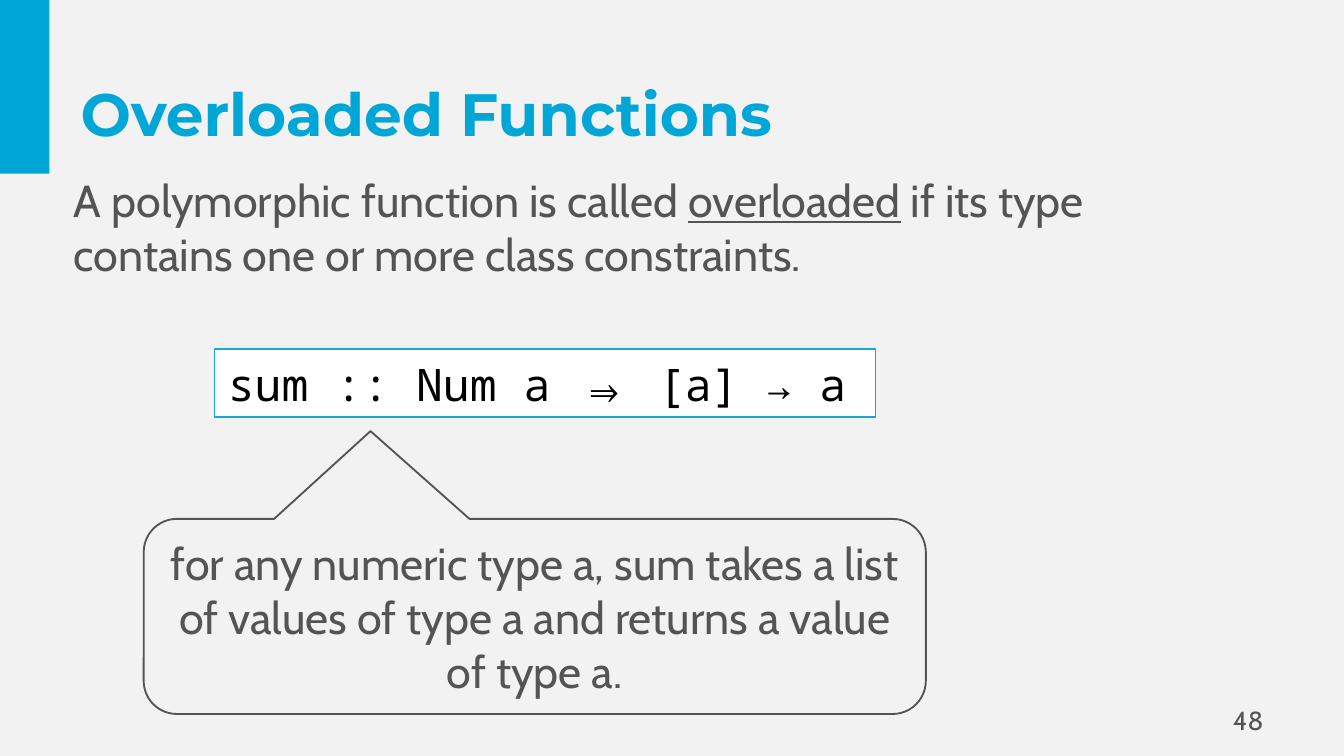
"""Build a slide that explains overloaded functions."""
from pptx import Presentation
from pptx.dml.color import RGBColor
from pptx.enum.shapes import MSO_SHAPE
from pptx.enum.text import MSO_ANCHOR, PP_ALIGN
from pptx.util import Pt

RECTANGLE = MSO_SHAPE.RECTANGLE
CALLOUT = MSO_SHAPE.ROUNDED_RECTANGULAR_CALLOUT
MIDDLE = MSO_ANCHOR.MIDDLE
LEFT, CENTER, RIGHT = PP_ALIGN.LEFT, PP_ALIGN.CENTER, PP_ALIGN.RIGHT

COLORS = {
    "background": "F2F2F2",
    "accent": "00A6D6",
    "border": "15A8DB",
    "text": "545454",
    "code": "000000",
    "white": "FFFFFF",
}


def color(name):
    return RGBColor.from_string(COLORS[name])


class SlideBuilder:
    body_font = "Cabin"
    title_font = "Montserrat"
    code_font = "Noto Sans Mono"
    body_size = 24

    def __init__(self, presentation):
        self.slide = presentation.slides.add_slide(presentation.slide_layouts[5])
        fill = self.slide.background.fill
        fill.solid()
        fill.fore_color.rgb = color("background")

    def set_text(self, shape, runs, font=body_font, size=body_size,
                 ink="text", align=LEFT, bold=False):
        frame = shape.text_frame
        frame.word_wrap = True
        frame.vertical_anchor = MIDDLE
        paragraph = frame.paragraphs[0]
        paragraph.alignment = align
        paragraph.font.name = font
        paragraph.font.size = Pt(size)
        paragraph.font.bold = bold
        paragraph.font.color.rgb = color(ink)
        for text, underlined in runs:
            run = paragraph.add_run()
            run.text = text
            if underlined:
                run.font.underline = True

    def title(self, box, text):
        shape = self.slide.shapes.title
        shape.left, shape.top, shape.width, shape.height = map(Pt, box)
        self.set_text(shape, [(text, False)], self.title_font, 32, "accent", bold=True)

    def text(self, box, runs, **style):
        self.set_text(self.slide.shapes.add_textbox(*map(Pt, box)), runs, **style)

    def shape(self, kind, box, fill=None, line=None, line_width=1):
        shape = self.slide.shapes.add_shape(kind, *map(Pt, box))
        shape.shadow.inherit = False
        if fill:
            shape.fill.solid()
            shape.fill.fore_color.rgb = color(fill)
        else:
            shape.fill.background()
        if line:
            shape.line.color.rgb = color(line)
            shape.line.width = Pt(line_width)
        else:
            shape.line.fill.background()
        return shape

    def code(self, box, text):
        shape = self.shape(RECTANGLE, box, "white", "border", 0.75)
        self.set_text(shape, [(text, False)], self.code_font, ink="code")

    def callout(self, box, text, adjustments):
        shape = self.shape(CALLOUT, box, line="text")
        for index, value in enumerate(adjustments):
            shape.adjustments[index] = value
        self.set_text(shape, [(text, False)], align=CENTER)


def main():
    presentation = Presentation()
    presentation.slide_width = Pt(720)
    presentation.slide_height = Pt(405)

    builder = SlideBuilder(presentation)
    builder.shape(RECTANGLE, (0, 0, 26.5, 93), fill="accent")
    builder.text((516, 375, 168, 22), [("48", False)], size=14, align=RIGHT)
    builder.title((36, 16.5, 648, 88), "Overloaded Functions")
    builder.text((32.5, 88.5, 641.5, 65.5), [
        ("A polymorphic function is called ", False),
        ("overloaded", True),
        (" if its type contains one or more class constraints.", False),
    ])
    builder.code((115, 187, 354, 36.5), "sum :: Num a ⇒ [a] → a")
    builder.callout(
        (77, 278, 419, 104.5),
        "for any numeric type a, sum takes a list of values of type a "
        "and returns a value of type a.",
        (-0.21, -0.95, 0.17),
    )
    presentation.save("out.pptx")


if __name__ == "__main__":
    main()
